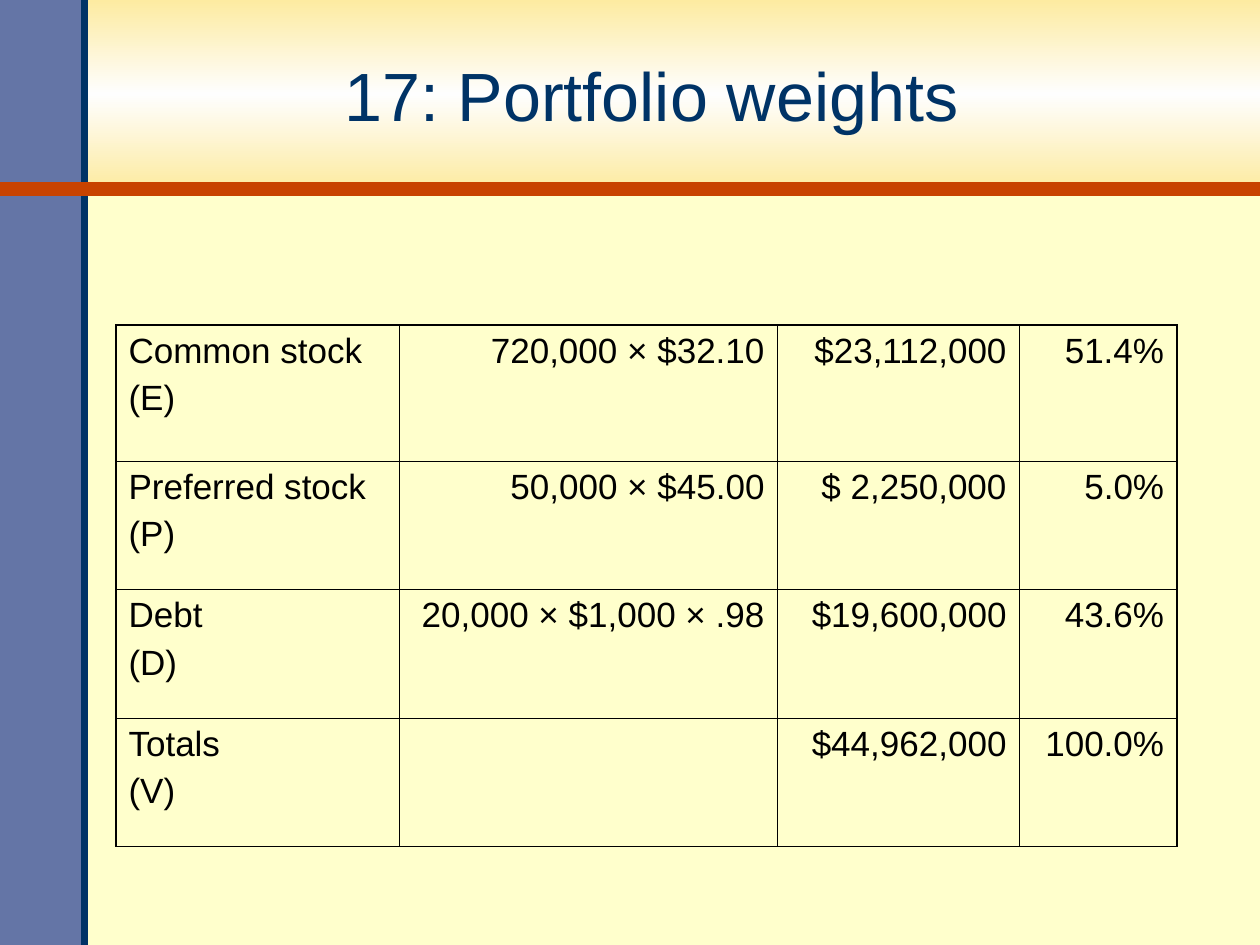
from copy import deepcopy

from lxml.etree import SubElement
from pptx import Presentation
from pptx.dml.color import RGBColor
from pptx.enum.shapes import MSO_CONNECTOR, MSO_SHAPE
from pptx.enum.text import MSO_ANCHOR, PP_ALIGN
from pptx.oxml.ns import qn
from pptx.util import Inches, Pt

CREAM = RGBColor(0xFF, 0xFF, 0xCC)
GOLD = RGBColor(0xFD, 0xEB, 0xA1)
WHITE = RGBColor(0xFE, 0xFE, 0xFE)
SLATE = RGBColor(0x64, 0x75, 0xA6)
NAVY = RGBColor(0x00, 0x33, 0x66)
RUST = RGBColor(0xC8, 0x43, 0x00)
BLACK = RGBColor(0, 0, 0)

COL_WIDTHS = [2.25, 3, 1.92, 1.25]
ROW_HEIGHTS = [1.08, 1.02, 1.02, 1.02]
WEIGHTS = [
    ["Common stock\n(E)", "720,000 × $32.10", "$23,112,000", "51.4%"],
    ["Preferred stock\n(P)", "50,000 × $45.00", "$ 2,250,000", "5.0%"],
    ["Debt\n(D)", "20,000 × $1,000 × .98", "$19,600,000", "43.6%"],
    ["Totals\n(V)", "", "$44,962,000", "100.0%"],
]


class SlideBuilder:
    font = "Arial"
    inner, outer = 0.45, 1.08  # table rule widths in points

    def __init__(self, prs):
        self.s = prs.slides.add_slide(prs.slide_layouts[5])
        fill = self.s.background.fill
        fill.solid()
        fill.fore_color.rgb = CREAM

    def style(self, p, size, color, align):
        p.alignment = align
        p.font.name = self.font
        p.font.size = Pt(size)
        p.font.color.rgb = color

    def rect(self, x, y, w, h):
        sp = self.s.shapes.add_shape(
            MSO_SHAPE.RECTANGLE, Inches(x), Inches(y), Inches(w), Inches(h))
        sp.shadow.inherit = False
        sp.line.fill.background()
        return sp

    def panel(self, x, y, w, h, color):
        fill = self.rect(x, y, w, h).fill
        fill.solid()
        fill.fore_color.rgb = color

    def gradient_band(self, x, y, w, h, edge, middle):
        sp = self.rect(x, y, w, h)
        sp.fill.gradient()
        sp.fill.gradient_angle = 90
        stops = sp._element.xpath(".//a:gsLst")[0]
        stops.insert(1, deepcopy(stops[0]))
        for stop, pos, color in zip(sp.fill.gradient_stops, (0, 0.5, 1),
                                    (edge, middle, edge)):
            stop.position = pos
            stop.color.rgb = color

    def line(self, x1, y1, x2, y2, color, width):
        ln = self.s.shapes.add_connector(
            MSO_CONNECTOR.STRAIGHT, Inches(x1), Inches(y1), Inches(x2), Inches(y2))
        ln.line.color.rgb = color
        ln.line.width = Pt(width)
        SubElement(ln._element.spPr, qn("a:effectLst"))

    def title(self, text, x, y, w, h):
        sp = self.s.shapes.title
        sp.left, sp.top, sp.width, sp.height = map(Inches, (x, y, w, h))
        tf = sp.text_frame
        tf.text = text
        tf.vertical_anchor = MSO_ANCHOR.MIDDLE
        self.style(tf.paragraphs[0], 39, NAVY, PP_ALIGN.CENTER)
        # Bring the title in front of the header band
        sp._element.getparent().append(sp._element)

    def borders(self, cell, widths):
        tc_pr = cell._tc.get_or_add_tcPr()
        for i, (side, width) in enumerate(zip("LRTB", widths)):
            ln = tc_pr.makeelement(qn(f"a:ln{side}"), {"w": str(Pt(width))})
            solid = SubElement(ln, qn("a:solidFill"))
            SubElement(solid, qn("a:srgbClr"), val=str(BLACK))
            tc_pr.insert(i, ln)

    def table(self, x, y, col_widths, row_heights, data):
        rows, cols = len(row_heights), len(col_widths)
        table = self.s.shapes.add_table(
            rows, cols, Inches(x), Inches(y),
            Inches(sum(col_widths)), Inches(sum(row_heights))).table
        table.first_row = table.horz_banding = False
        for col, width in zip(table.columns, col_widths):
            col.width = Inches(width)
        for row, height in zip(table.rows, row_heights):
            row.height = Inches(height)
        for r, texts in enumerate(data):
            for c, text in enumerate(texts):
                cell = table.cell(r, c)
                cell.text = text
                cell.fill.background()
                on_edge = (c == 0, c == cols - 1, r == 0, r == rows - 1)
                self.borders(cell, [self.outer if e else self.inner for e in on_edge])
                for i, p in enumerate(cell.text_frame.paragraphs):
                    self.style(p, 20, BLACK, PP_ALIGN.RIGHT if c else PP_ALIGN.LEFT)
                    if i:
                        p.space_before = Pt(5)


def main():
    prs = Presentation()
    prs.slide_width, prs.slide_height = Inches(10), Inches(7.5)
    b = SlideBuilder(prs)

    # Header band, sidebar and rules
    b.gradient_band(0, 0, 10, 1.5, GOLD, WHITE)
    b.panel(0, 0, 0.67, 7.5, SLATE)
    b.line(0.67, 7.5, 0.67, 0, NAVY, 4)
    b.line(0, 1.5, 10, 1.5, RUST, 8)

    # Title and table of weights
    b.title("17: Portfolio weights", 0.65, 0.15, 9.04, 1.2)
    b.table(0.92, 2.58, COL_WIDTHS, ROW_HEIGHTS, WEIGHTS)

    prs.save("out.pptx")


if __name__ == "__main__":
    main()
